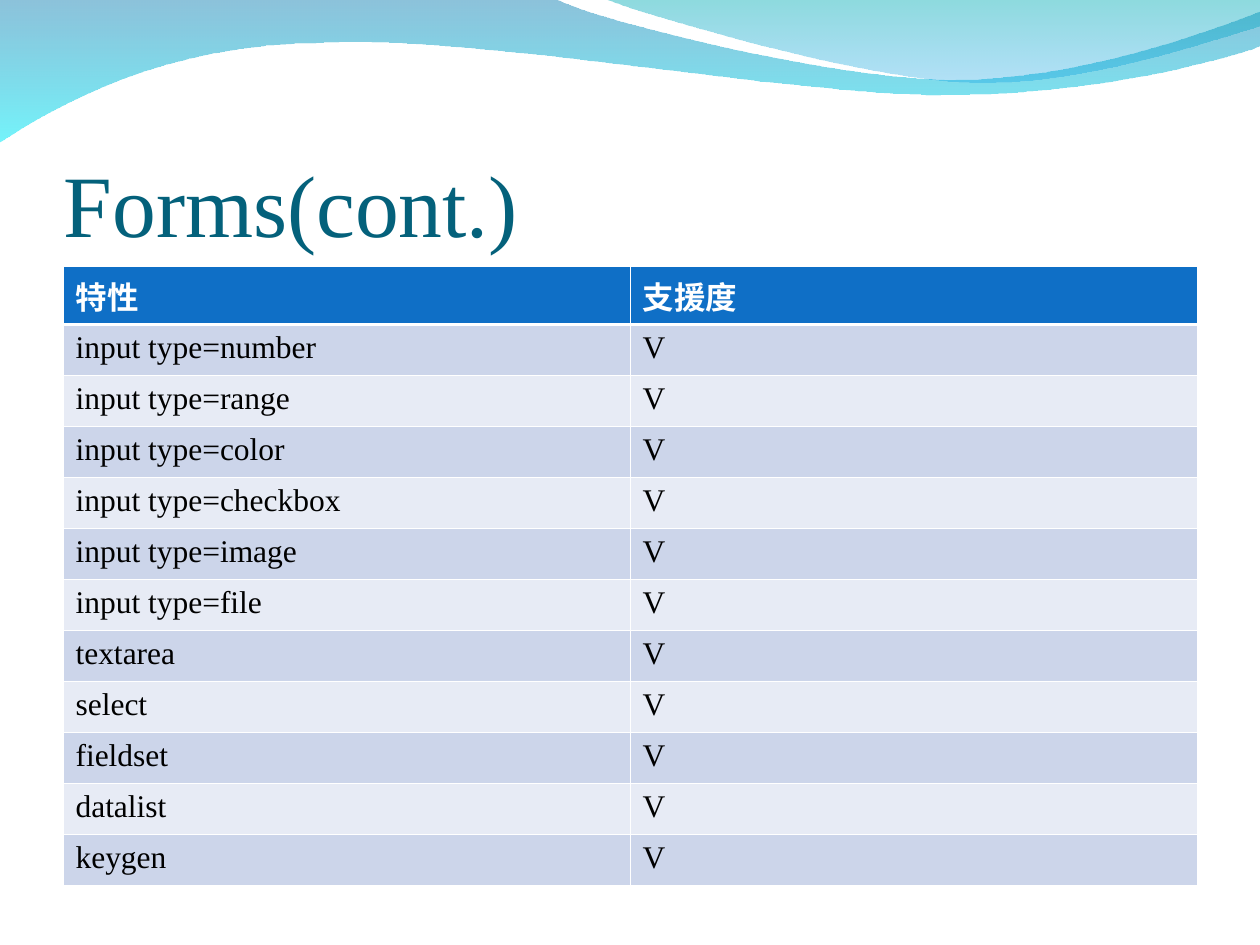
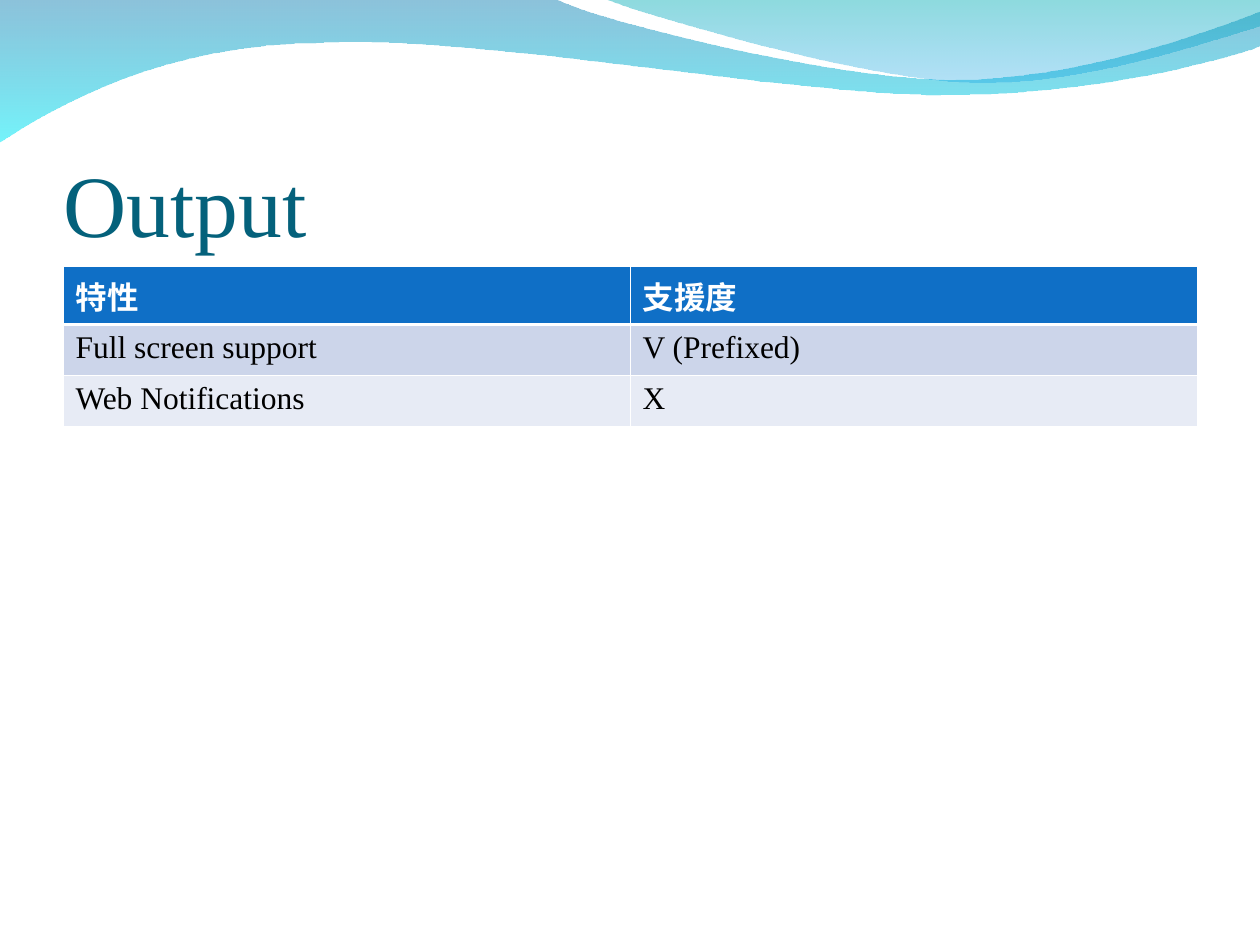
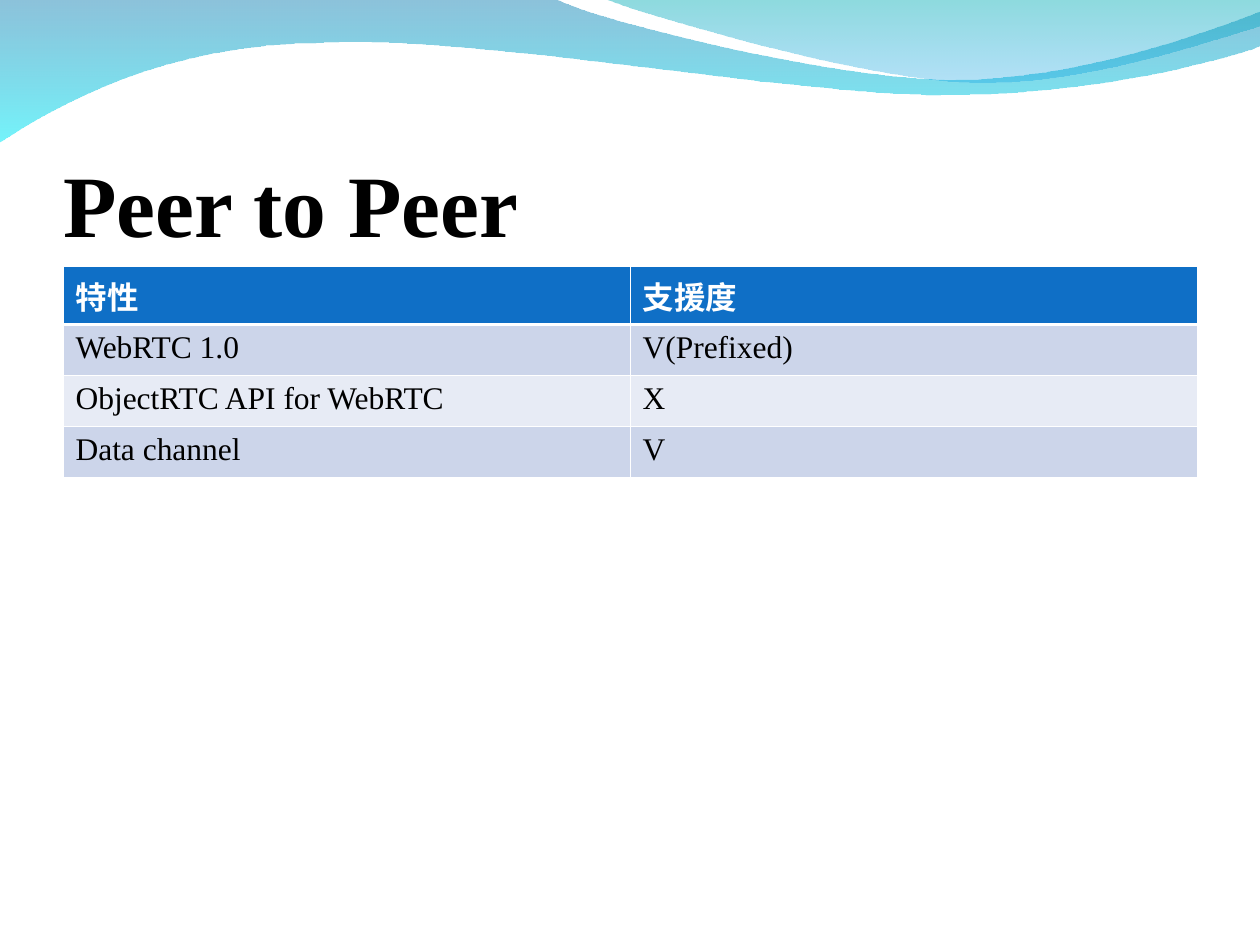
from lxml import etree
from pptx import Presentation
from pptx import util as u
from pptx.dml.color import RGBColor
from pptx.enum import text
from pptx.oxml.ns import qn

COLORS = {
    "title": "04617B", "black": "000000", "white": "FFFFFF",
    "header": "0F6FC6", "band_dark": "CCD5EA", "band_light": "E7EBF5",
    "steel": "0079AF", "cyan": "00EBF8", "teal": "00ADB6", "sky": "009BE5",
}
LATIN, CJK = "Times New Roman", "Noto Sans CJK SC"
COLUMNS, ROWS = 20, 15
THIN, THICK = 0.45, 1.47
HEADER_HEIGHT, ROW_HEIGHT = 0.92, 0.81

LONG_WAVE = [
    [(0, -0.02)], [(8.8, -0.02)],
    [(9.52, 0.34), (13.28, 1.26), (15.16, 1.26)],
    [(17.06, 1.26), (19.16, 0.52), (20, 0.18)],
    [(20.02, 0.72)],
    [(19.66, 0.88), (17.4, 1.52), (14.92, 1.5)],
    [(12.44, 1.5), (7.64, 0.56), (5.14, 0.68)],
    [(2.58, 0.7), (0.92, 1.66), (-0.02, 2.26)],
]
SHORT_WAVE = [
    [(9.58, -0.02)],
    [(10.18, 0.22), (13.64, 1.24), (15.38, 1.3)],
    [(17.12, 1.38), (19.22, 0.64), (20, 0.42)],
    [(20, 0)],
]
TABLE_HEADER = ("特性", "支援度")
FORM_FEATURES = [
    "input type=number", "input type=range", "input type=color",
    "input type=checkbox", "input type=image", "input type=file",
    "textarea", "select", "fieldset", "datalist", "keygen",
]
SLIDES = [
    ("Forms(cont.)", "title", False, [(feature, "V") for feature in FORM_FEATURES]),
    ("Output", "title", False,
     [("Full screen support", "V (Prefixed)"), ("Web Notifications", "X")]),
    ("Peer to Peer", "black", True,
     [("WebRTC 1.0", "V(Prefixed)"), ("ObjectRTC API for WebRTC", "X"),
      ("Data channel", "V")]),
]


def color(name):
    """Return the named colour of the palette."""
    return RGBColor.from_string(COLORS[name])


def bend(shape, segments):
    """Join the line ends of each three-point segment into one cubic curve."""
    ends = iter(list(shape._element.iter(qn("a:lnTo"))))
    for segment in segments[1:]:
        lines = [next(ends) for _ in segment]
        if len(lines) == 3:
            lines[0].tag = qn("a:cubicBezTo")
            for line in lines[1:]:
                lines[0].append(line[0])
                line.getparent().remove(line)


class Deck:
    """Holds the shared style and the current slide."""

    def __init__(self):
        """Start an empty presentation of 10 by 7.5 inches."""
        self.presentation = Presentation()
        self.presentation.slide_width = u.Inches(10)
        self.presentation.slide_height = u.Inches(7.5)
        self.slide = None

    def grid(self, *lengths):
        """Convert alternating columns and rows to slide lengths."""
        units = (self.presentation.slide_width / COLUMNS,
                 self.presentation.slide_height / ROWS)
        return [u.Emu(round(length * units[index % 2]))
                for index, length in enumerate(lengths)]

    def add_slide(self):
        """Add a blank slide, with the waves on the master behind the first."""
        first = self.slide is None
        self.slide = self.presentation.slides.add_slide(
            self.presentation.slide_layouts[6])
        if first:
            self.add_master_wave(LONG_WAVE, [("steel", 45), ("cyan", 55)])
            self.add_master_wave(SHORT_WAVE, [("teal", 45), ("sky", 30)])

    def add_master_wave(self, segments, stops):
        """Draw a closed wave with a translucent gradient on the master."""
        points = [self.grid(*point) for segment in segments for point in segment]
        builder = self.slide.shapes.build_freeform(*points[0])
        builder.add_line_segments(points[1:], close=True)
        shape = builder.convert_to_shape()
        bend(shape, segments)
        shape.shadow.inherit = False
        shape.line.fill.background()
        shape.fill.gradient()
        shape.fill.gradient_angle = 270
        for stop, (name, _) in zip(shape.fill.gradient_stops, stops):
            stop.color.rgb = color(name)
        for element, (_, opacity) in zip(shape._element.iter(qn("a:srgbClr")), stops):
            etree.SubElement(element, qn("a:alpha"), val=str(opacity * 1000))
        tree = self.presentation.slide_master.shapes._spTree
        shape._element.nvSpPr.cNvPr.set("id", str(len(tree) + 1))
        tree.append(shape._element)

    def add_run(self, paragraph, words, size, name, bold=False, font=LATIN):
        """Add one styled run to a paragraph."""
        run = paragraph.add_run()
        run.text = words
        run.font.size = u.Pt(size)
        run.font.bold = bold
        run.font.color.rgb = color(name)
        run.font.name = font
        etree.SubElement(run._r.get_or_add_rPr(), qn("a:ea"), typeface=font)

    def add_title(self, words, name, bold):
        """Add the slide title, resting on the bottom of its box."""
        frame = self.slide.shapes.add_textbox(*self.grid(1.01, 1.54, 18, 2.5)).text_frame
        frame.word_wrap = True
        frame.vertical_anchor = text.MSO_ANCHOR.BOTTOM
        frame.margin_left = frame.margin_right = frame.margin_bottom = 0
        frame.margin_top = u.Inches(0.05)
        self.add_run(frame.paragraphs[0], words, 50, name, bold)

    def add_borders(self, cell, top, bottom):
        """Give a cell white borders of the given top and bottom widths."""
        properties = cell._tc.get_or_add_tcPr()
        for side, width in (("L", THIN), ("R", THIN), ("T", top), ("B", bottom)):
            line = etree.SubElement(properties, qn(f"a:ln{side}"), w=str(u.Pt(width)))
            fill = etree.SubElement(line, qn("a:solidFill"))
            etree.SubElement(fill, qn("a:srgbClr"), val=COLORS["white"])

    def add_table(self, records):
        """Add a banded two-column table under a header row."""
        rows = [TABLE_HEADER, *records]
        table = self.slide.shapes.add_table(
            len(rows), len(TABLE_HEADER),
            *self.grid(1, 4.23, 18, ROW_HEIGHT * len(rows))).table
        table.first_row = table.horz_banding = False
        table.rows[0].height = self.grid(0, HEADER_HEIGHT)[1]
        for row, values in enumerate(rows):
            header = row == 0
            band = "header" if header else "band_dark" if row % 2 else "band_light"
            for column, words in enumerate(values):
                cell = table.cell(row, column)
                self.add_borders(cell, THICK if row == 1 else THIN,
                                 THICK if header else THIN)
                cell.fill.solid()
                cell.fill.fore_color.rgb = color(band)
                self.add_run(cell.text_frame.paragraphs[0], words, 18,
                             "white" if header else "black", header,
                             CJK if header else LATIN)


def main():
    """Build the slides and save them."""
    deck = Deck()
    for title, name, bold, records in SLIDES:
        deck.add_slide()
        deck.add_title(title, name, bold)
        deck.add_table(records)
    deck.presentation.save("out.pptx")


if __name__ == "__main__":
    main()
